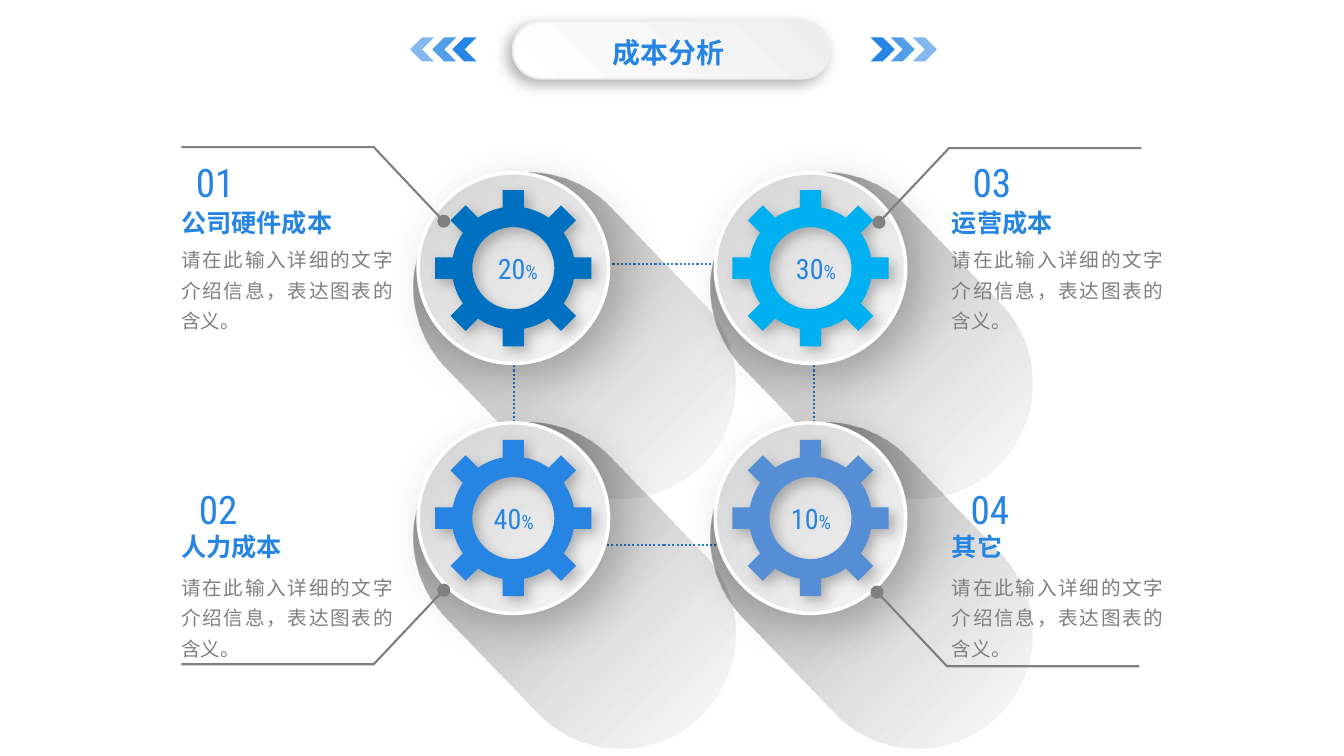
from dataclasses import dataclass
from math import cos, pi, sin, sqrt

from lxml import etree
from pptx import Presentation
from pptx.dml.color import RGBColor
from pptx.enum.dml import MSO_LINE
from pptx.enum.shapes import MSO_SHAPE
from pptx.enum.text import MSO_AUTO_SIZE, PP_ALIGN
from pptx.oxml.ns import qn
from pptx.util import Inches, Pt

OVAL, PILL = MSO_SHAPE.OVAL, MSO_SHAPE.ROUNDED_RECTANGLE
ARROW, RECT = MSO_SHAPE.CHEVRON, MSO_SHAPE.RECTANGLE
LEFT, MID, FULL = PP_ALIGN.LEFT, PP_ALIGN.CENTER, PP_ALIGN.JUSTIFY
DOTS, GROW = MSO_LINE.ROUND_DOT, MSO_AUTO_SIZE.SHAPE_TO_FIT_TEXT

BLUE, GREY = "2684E2", "808080"
LATIN, HAN = "Roboto Condensed", "Noto Sans CJK SC"
BODY = "请在此输入详细的文字介绍信息，表达图表的含义。"

deck = Presentation()
deck.slide_width, deck.slide_height = Inches(13.34), Inches(7.5)
slide = deck.slides.add_slide(deck.slide_layouts[6])
shapes = slide.shapes
COLS, ROWS = 133.4, 75  # grid of the slide
COL, ROW = deck.slide_width / COLS, deck.slide_height / ROWS


@dataclass
class Run:
    text: str
    size: int
    color: str = BLUE
    font: str = LATIN
    bold: bool = False


@dataclass
class Stop:
    pos: int
    color: str
    alpha: int = 100


@dataclass
class Shade:
    alpha: int
    blur: int
    dist: int
    angle: int


@dataclass
class Cost:
    num: str
    name: str
    share: str
    color: str
    gear: tuple[float, float]   # centre of the gear
    share_x: float
    num_x: float
    text_x: float
    text_y: float
    lead: tuple[float, float]   # start of the leader line
    turn: tuple[int, int]       # way the leader runs


COSTS = [
    Cost("01", "公司硬件成本", "20", "0070C0", (50.95, 26.6), 44.6, 16.9, 17, 15.2, (43.7, 21.6), (-1, -1)),
    Cost("03", "运营成本", "30", "00B0F0", (80.45, 26.6), 74.2, 94, 93.5, 15.2, (87.6, 21.7), (1, -1)),
    Cost("02", "人力成本", "40", BLUE, (50.95, 51.4), 44.2, 17.2, 17, 47.7, (43.7, 58.9), (-1, 1)),
    Cost("04", "其它", "10", "558ED5", (80.45, 51.4), 73.7, 93.8, 93.5, 47.7, (87.4, 59.1), (1, 1)),
]
FADE = [Stop(0, "000000", 61), Stop(47, "000000", 19), Stop(76, "6C6C6C", 10), Stop(100, "D8D8D8", 0)]
DISC = [Stop(0, "D3D3D3"), Stop(100, "F7F7F7")]
PLATE = [Stop(0, "EEEEEE"), Stop(100, "FFFFFF")]


def rgb(color: str) -> RGBColor:
    return RGBColor.from_string(color)


def tint(parent, color: str, alpha: int) -> None:
    """Add a colour element with its opacity."""
    node = etree.SubElement(parent, qn("a:srgbClr"), val=color)
    etree.SubElement(node, qn("a:alpha"), val=str(alpha * 1000))


def paint(shape, color: str | None = None, edge: str | None = None,
          width: float = 1.5, shade: Shade | None = None) -> None:
    """Set fill, line and shadow; None leaves a part empty."""
    if color:
        shape.fill.solid()
        shape.fill.fore_color.rgb = rgb(color)
    else:
        shape.fill.background()
    if edge:
        shape.line.color.rgb = rgb(edge)
        shape.line.width = Pt(width)
    else:
        shape.line.fill.background()
    shape.shadow.inherit = False
    if shade:
        effects = shape._element.spPr.find(qn("a:effectLst"))
        outer = etree.SubElement(
            effects, qn("a:outerShdw"), blurRad=str(Pt(shade.blur)), dist=str(Pt(shade.dist)),
            dir=str(shade.angle * 60000), algn="ctr", rotWithShape="0")
        tint(outer, "000000", shade.alpha)


def blend(shape, stops: list[Stop], angle: int) -> None:
    """Give a shape a linear gradient."""
    shape.fill.gradient()
    grad = shape._element.spPr.find(qn("a:gradFill"))
    for child in list(grad):
        grad.remove(child)
    group = etree.SubElement(grad, qn("a:gsLst"))
    for stop in stops:
        tint(etree.SubElement(group, qn("a:gs"), pos=str(stop.pos * 1000)), stop.color, stop.alpha)
    etree.SubElement(grad, qn("a:lin"), ang=str(angle * 60000), scaled="0")


def add(kind, x: float, y: float, w: float, h: float):
    return shapes.add_shape(kind, round(x * COL), round(y * ROW), round(w * COL), round(h * ROW))


def write(x: float, y: float, w: float, h: float, runs: list[Run],
          align=LEFT, space: float = 1.0) -> None:
    box = shapes.add_textbox(round(x * COL), round(y * ROW), round(w * COL), round(h * ROW))
    frame = box.text_frame
    frame.word_wrap, frame.auto_size = True, GROW
    para = frame.paragraphs[0]
    para.alignment, para.line_spacing = align, space
    for item in runs:
        run = para.add_run()
        run.text = item.text
        font = run.font
        font.size, font.bold = Pt(item.size), item.bold
        font.color.rgb = rgb(item.color)
        font.name = item.font
        etree.SubElement(run._r.rPr, qn("a:ea"), typeface=HAN)


def trace(paths: list[list[tuple[float, float]]], close: bool):
    """Build one outline from lists of grid points."""
    spots = [[(round(x * COL), round(y * ROW)) for x, y in path] for path in paths]
    pen = shapes.build_freeform(*spots[0][0])
    for i, path in enumerate(spots):
        if i:
            pen.move_to(*path[0])
        pen.add_line_segments(path[1:], close=close)
    return pen.convert_to_shape()


def cog(x: float, y: float, color: str) -> None:
    """Draw a gear with eight teeth and a round hole."""
    hole, ring, tip, half, teeth, steps = 4.07, 6.1, 7.75, 1.06, 8, 8
    root = sqrt(ring ** 2 - half ** 2)
    gap = 2 * pi / teeth
    edge = []
    for i in range(teeth):
        turn = i * gap
        for a, b in [(root, -half), (tip, -half), (tip, half), (root, half)]:
            edge.append((x + a * cos(turn) - b * sin(turn), y + a * sin(turn) + b * cos(turn)))
        for j in range(1, steps):
            arc = turn + half / ring + (gap - 2 * half / ring) * j / steps
            edge.append((x + ring * cos(arc), y + ring * sin(arc)))
    inner = [(x + hole * cos(-k * pi / 36), y + hole * sin(-k * pi / 36)) for k in range(72)]
    paint(trace([edge, inner], True), color, shade=Shade(26, 9, 5, 45))


def wheel(cost: Cost) -> None:
    x, y = cost.gear
    cast = add(PILL, x - 11.95, y + 6.7 - 11.4, 36, 22.8)
    cast.adjustments[0], cast.rotation = 0.5, 46
    paint(cast)
    blend(cast, FADE, 0)
    disc = add(OVAL, x - 9.45, y - 9.45, 18.9, 18.9)
    paint(disc, edge="FFFFFF", width=2.5, shade=Shade(22, 32, 13, 45))
    blend(disc, DISC, 45)
    cog(x, y, cost.color)


def label(cost: Cost) -> None:
    (x, y), (dx, dy) = cost.lead, cost.turn
    paint(add(OVAL, x - 0.35 * dx - 0.65, y - 0.35 * dy - 0.65, 1.3, 1.3), GREY)
    bend = [(x, y), (x + 6.6 * dx, y + 7 * dy), (x + 25.7 * dx, y + 7 * dy)]
    paint(trace([bend], False), edge="7F7F7F")
    top = cost.text_y
    drop = 4.9 if dy < 0 else 4.5
    write(cost.share_x, cost.gear[1] - 2.1, 13.6, 4.4, [Run(cost.share, 20), Run("%", 14)], MID)
    write(cost.num_x, top, 8.9, 5.7, [Run(cost.num, 28)], MID)
    write(cost.text_x, top + drop, 19.3, 4, [Run(cost.name, 18, BLUE, HAN, True)])
    write(cost.text_x, top + 8.2, 23, 10.2, [Run(BODY, 14, GREY, HAN)], FULL, 1.3)


plate = add(PILL, 50.9, 2.1, 31.5, 5.7)
plate.adjustments[0] = 0.5
paint(plate, edge="EEEEEE", shade=Shade(30, 10, 5, 135))
blend(plate, PLATE, 135)
for step, alpha in [(0, 100), (2, 79), (4.2, 57)]:
    for start, way in [(86.4, 1), (44.9, -1)]:
        mark = add(ARROW, start + way * step, 3.7, 2.4, 2.4)
        mark.rotation = 0 if way > 0 else 180
        paint(mark, BLUE)
        blue = mark._element.spPr.find(qn("a:solidFill"))[0]
        etree.SubElement(blue, qn("a:alpha"), val=str(alpha * 1000))
write(54.9, 3, 23, 4.1, [Run("成本分析", 20, bold=True)], MID)

frame = add(RECT, 51, 26.2, 29.8, 27.9)
paint(frame, edge=BLUE)
frame.line.dash_style = DOTS
for cost in COSTS:
    wheel(cost)
for cost in COSTS:
    label(cost)

deck.save("out.pptx")
